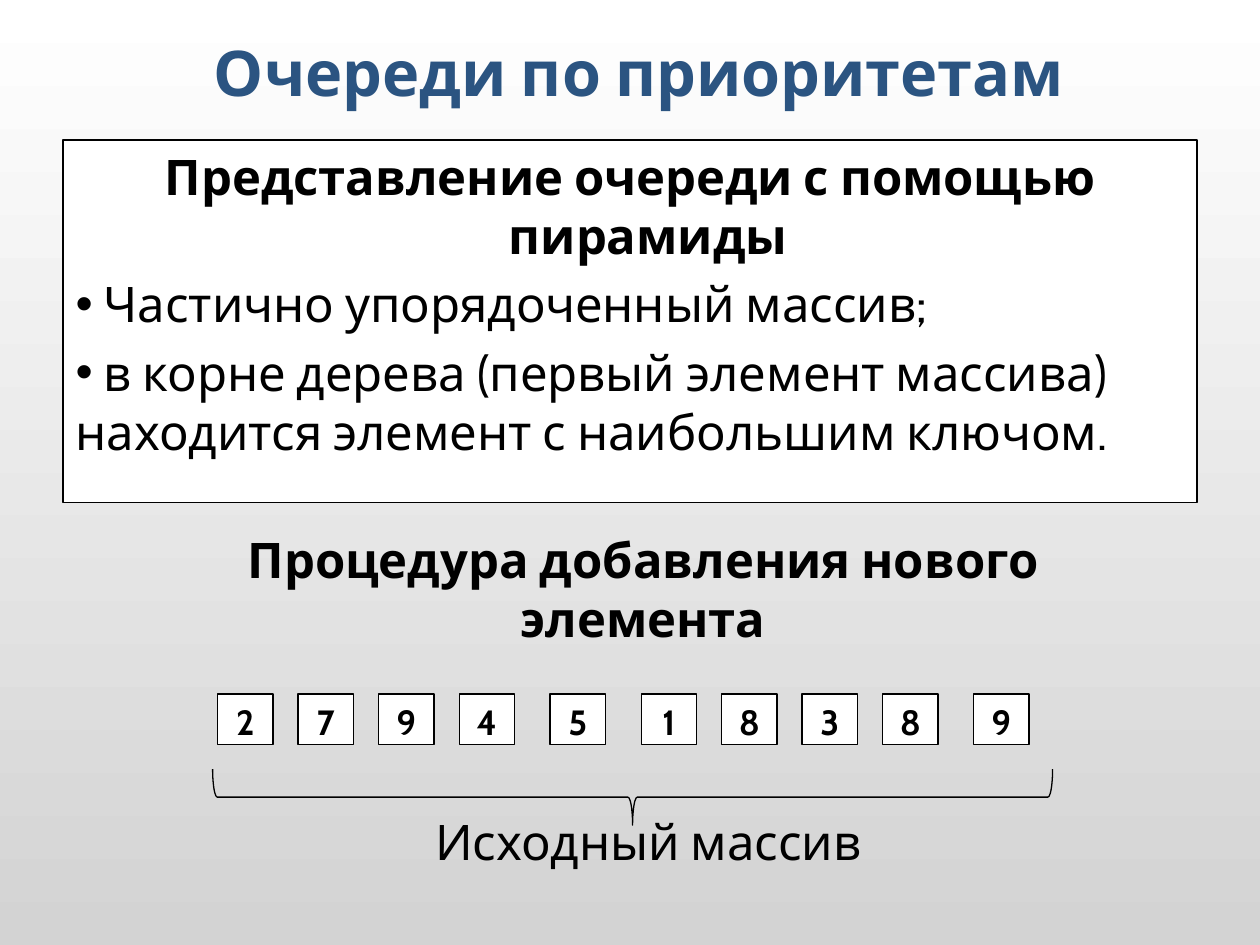
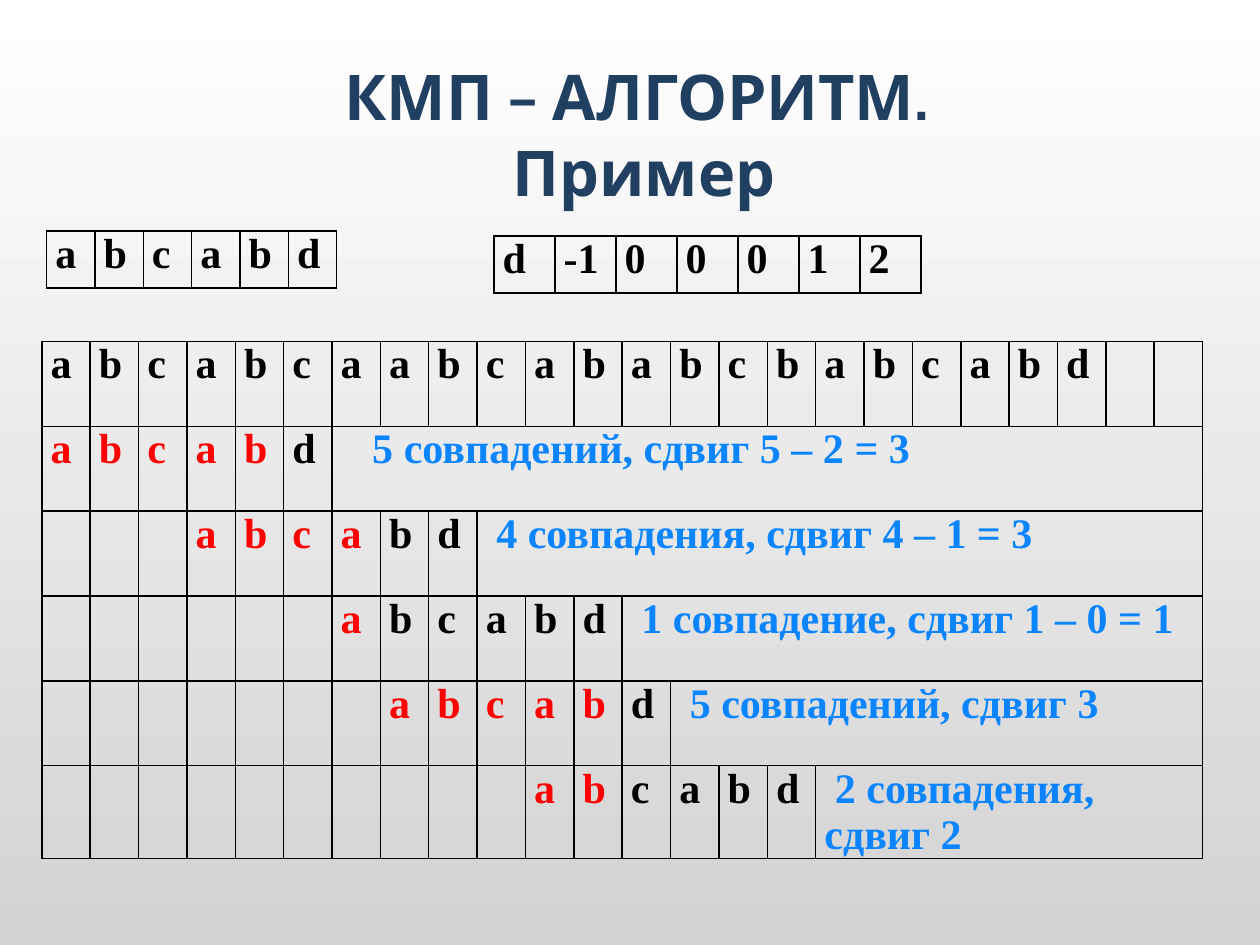
from lxml import etree
from pptx import Presentation
from pptx.dml.color import RGBColor
from pptx.enum.shapes import MSO_SHAPE
from pptx.enum.text import MSO_ANCHOR, MSO_AUTO_SIZE, PP_ALIGN
from pptx.oxml.ns import qn
from pptx.util import Pt

RECT, BRACE = MSO_SHAPE.RECTANGLE, MSO_SHAPE.LEFT_BRACE
TOP, MIDDLE = MSO_ANCHOR.TOP, MSO_ANCHOR.MIDDLE
LEFT, CENTER = PP_ALIGN.LEFT, PP_ALIGN.CENTER
NO_FIT = MSO_AUTO_SIZE.NONE

COLORS = {
    "black": "000000", "white": "FFFFFF", "grey": "D3D3D3",
    "blue": "2B5481", "navy": "203F61", "match": "FF0000", "note": "0A85FF",
}
TITLE = {"name": "Cabin", "size": Pt(36), "bold": True}
HEADING = {"name": "Cabin", "size": Pt(28), "bold": True}
BODY = {**HEADING, "bold": False}
DIGIT = {**HEADING, "size": Pt(20)}
CELL = {"name": "Times New Roman", "size": Pt(24), "bold": True}


def rgb(name):
    return RGBColor.from_string(COLORS[name])


def place(sp, box):
    for key, value in zip(("left", "top", "width", "height"), box):
        setattr(sp, key, Pt(value))


class Deck:
    def __init__(self):
        self.prs = Presentation()
        self.prs.slide_width, self.prs.slide_height = Pt(720), Pt(540)
        self.slide = None
        # Shared background: white fading down to grey
        fill = self.prs.slide_master.background.fill
        fill.gradient()
        fill.gradient_angle = 270
        for stop, position, color in zip(fill.gradient_stops, (0, 1), ("white", "grey")):
            stop.position = position
            stop.color.rgb = rgb(color)

    def new_slide(self, layout):
        self.slide = self.prs.slides.add_slide(self.prs.slide_layouts[layout])

    def paragraph(self, p, text, fmt, color="black", align=LEFT,
                  before=0, margin=0, indent=0, bullet=None):
        pPr = p._p.get_or_add_pPr()
        pPr.set("marL", str(Pt(margin)))
        pPr.set("indent", str(Pt(indent)))
        p.alignment, p.space_before = align, Pt(before)
        if bullet:
            etree.SubElement(pPr, qn("a:buChar")).set("char", bullet)
        else:
            etree.SubElement(pPr, qn("a:buNone"))
        for i, line in enumerate(text.split("\n")):
            if i:
                p.add_line_break()
            r = p.add_run()
            r.text = line
            for key, value in fmt.items():
                setattr(r.font, key, value)
            r.font.color.rgb = rgb(color)

    def frame(self, sp, anchor=TOP):
        tf = sp.text_frame
        tf.word_wrap, tf.auto_size, tf.vertical_anchor = True, NO_FIT, anchor
        return tf

    def outline(self, sp):
        sp.line.color.rgb = rgb("black")
        sp.line.width = Pt(0.75)

    def title(self, text, box, color):
        sp = self.slide.shapes.title
        place(sp, box)
        self.paragraph(self.frame(sp, MIDDLE).paragraphs[0], text, TITLE, color, CENTER)

    def body(self, heading, items, box):
        sp = self.slide.placeholders[1]
        place(sp, box)
        sp.fill.solid()
        sp.fill.fore_color.rgb = rgb("white")
        self.outline(sp)
        tf = self.frame(sp)
        self.paragraph(tf.paragraphs[0], heading, HEADING, align=CENTER, margin=27, indent=-27)
        for item in items:
            self.paragraph(tf.add_paragraph(), " " + item, BODY, before=5.6, bullet="•")

    def text(self, text, box, fmt):
        sp = self.slide.shapes.add_textbox(*map(Pt, box))
        self.paragraph(self.frame(sp).paragraphs[0], text, fmt, align=CENTER)

    def shape(self, kind, box, text=None, rotation=0):
        sp = self.slide.shapes.add_shape(kind, *map(Pt, box))
        sp.shadow.inherit = False
        sp.rotation = rotation
        self.outline(sp)
        if text is None:
            sp.fill.background()
            return
        sp.fill.solid()
        sp.fill.fore_color.rgb = rgb("white")
        self.paragraph(self.frame(sp).paragraphs[0], text, DIGIT, align=CENTER)

    def table(self, left, top, rows, cols, col_width, row_height):
        box = (left, top, cols * col_width, rows * row_height)
        table = self.slide.shapes.add_table(rows, cols, *map(Pt, box)).table
        table.first_row = table.horz_banding = False
        for col in table.columns:
            col.width = Pt(col_width)
        for row in table.rows:
            row.height = Pt(row_height)
        for cell in table.iter_cells():
            cell.margin_left = cell.margin_right = Pt(5)
            cell.margin_top = cell.margin_bottom = 0
            self.borders(cell)
            cell.fill.background()
        return table

    def borders(self, cell):
        tcPr = cell._tc.get_or_add_tcPr()
        for side in ("a:lnL", "a:lnR", "a:lnT", "a:lnB"):
            ln = etree.SubElement(tcPr, qn(side), w=str(Pt(1)))
            fill = etree.SubElement(ln, qn("a:solidFill"))
            etree.SubElement(fill, qn("a:srgbClr"), val=COLORS["black"])

    def cell(self, cell, text, color="black", indent=0):
        self.paragraph(cell.text_frame.paragraphs[0], text, CELL, color, indent=indent)

    def row_table(self, left, top, values, col_width):
        table = self.table(left, top, 1, len(values), col_width, 32.6)
        for col, value in enumerate(values):
            self.cell(table.cell(0, col), value)


def priority_queue_slide(deck):
    deck.new_slide(1)
    deck.title("Очереди по приоритетам", (41, 23, 648, 36), "blue")
    deck.body("Представление очереди с помощью пирамиды ", (
        "Частично упорядоченный массив;",
        "в корне дерева (первый элемент массива) находится элемент с наибольшим ключом.",
    ), (36, 80, 648, 207))
    deck.text("Процедура добавления нового элемента", (110, 299, 515, 75), HEADING)

    # Source array: a wider gap sets some elements apart
    x = 124.4
    for i, digit in enumerate("2794518389"):
        if i:
            x += 52 if i in (4, 5, 9) else 46
        deck.shape(RECT, (x, 396.6, 31.7, 28.8), digit)

    # Brace and its label
    deck.shape(BRACE, (345.5, 215.5, 32, 480), rotation=270)
    deck.text("Исходный массив", (113, 460, 515, 41), BODY)


def kmp_slide(deck):
    pattern, source = "abcаbd", "abcabcaabcababcbabcabd"
    col_width = 27.66
    # Offset of the pattern, matched letters, note, indent of the note
    steps = (
        (0, 5, "5 совпадений, сдвиг 5 – 2 = 3", 18),
        (3, 4, "4 совпадения, сдвиг 4 – 1 = 3", 6),
        (6, 1, "1 совпадение, сдвиг 1 – 0 = 1", 6),
        (7, 5, "5 совпадений, сдвиг 3", 6),
        (10, 2, "2 совпадения, сдвиг 2", 6),
    )
    deck.new_slide(5)
    deck.title("КМП – АЛГОРИТМ. \nПример", (44, 17.3, 648, 118), "navy")

    # Search steps
    table = deck.table(23.9, 195.2, len(steps) + 1, 24, col_width, 48.5)
    for col, letter in enumerate(source):
        deck.cell(table.cell(0, col), letter)
    for row, (offset, matches, note, indent) in enumerate(steps, 1):
        for i, letter in enumerate(pattern):
            color = "match" if i < matches else "black"
            deck.cell(table.cell(row, offset + i), letter, color)
        note_cell = table.cell(row, offset + len(pattern))
        note_cell.merge(table.cell(row, 23))
        deck.cell(note_cell, note, "note", indent)

    # Pattern and its prefix table
    deck.row_table(26.6, 132, pattern, col_width)
    deck.row_table(282.2, 134.9, ("d", "-1", "0", "0", "0", "1", "2"), 34.87)


def main():
    deck = Deck()
    priority_queue_slide(deck)
    kmp_slide(deck)
    deck.prs.save("out.pptx")


if __name__ == "__main__":
    main()
